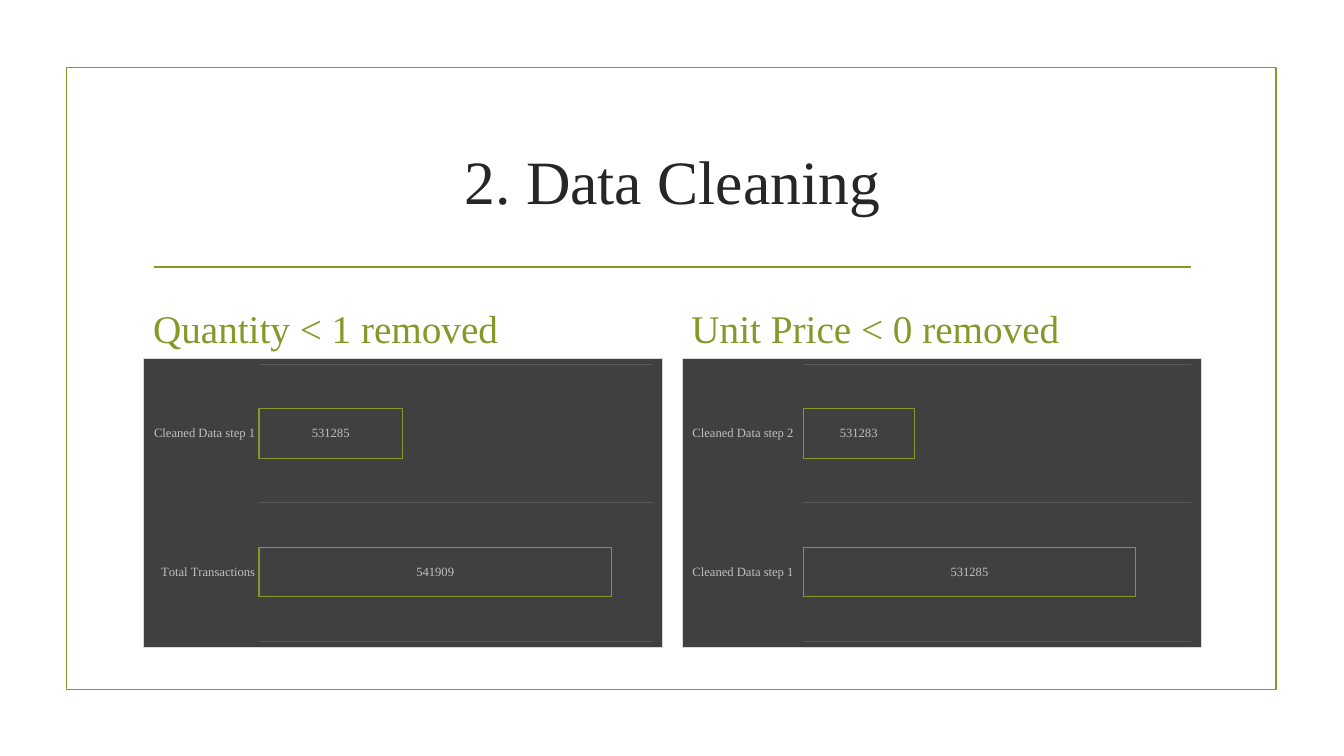
import pptx
import pptx.chart.data
import pptx.dml.color
import pptx.enum.chart
import pptx.enum.shapes
import pptx.enum.text
import pptx.oxml
import pptx.oxml.ns
import pptx.util
from pptx.util import Inches

COLORS = {"green": "83992A", "title": "262626", "panel": "404040",
          "grid": "595959", "label": "BFBFBF", "border": "D9D9D9", "black": "000000"}
FONT = "Times New Roman"
PANEL_XML = (
    '<c:spPr %s><a:solidFill><a:srgbClr val="%s"/></a:solidFill>'
    '<a:ln w="9525"><a:solidFill><a:srgbClr val="%s"/></a:solidFill></a:ln></c:spPr>'
    % (pptx.oxml.ns.nsdecls("c", "a"), COLORS["panel"], COLORS["border"])
)


class Deck:
    def __init__(self, slide):
        self.shapes = slide.shapes

    def rgb(self, name):
        return pptx.dml.color.RGBColor.from_string(COLORS[name])

    def style_font(self, font, size, color):
        font.name = FONT
        font.size = pptx.util.Pt(size)
        font.color.rgb = self.rgb(color)

    def style_line(self, line, color, width):
        line.color.rgb = self.rgb(color)
        line.width = pptx.util.Pt(width)

    def frame(self, x, y, w, h):
        sp = self.shapes.add_shape(pptx.enum.shapes.MSO_SHAPE.RECTANGLE,
                                   Inches(x), Inches(y), Inches(w), Inches(h))
        sp.shadow.inherit = False
        sp.fill.background()
        self.style_line(sp.line, "green", 1.25)

    def rule(self, x1, x2, y):
        line = self.shapes.add_connector(pptx.enum.shapes.MSO_CONNECTOR.STRAIGHT,
                                         Inches(x1), Inches(y), Inches(x2), Inches(y))
        self.style_line(line.line, "green", 1.25)
        line._element.spPr.append(
            pptx.oxml.parse_xml("<a:effectLst %s/>" % pptx.oxml.ns.nsdecls("a")))

    def text(self, x, y, w, h, words, size, color, align, anchor):
        tf = self.shapes.add_textbox(Inches(x), Inches(y), Inches(w), Inches(h)).text_frame
        tf.word_wrap = True
        tf.vertical_anchor = anchor
        p = tf.paragraphs[0]
        p.text = words
        p.alignment = align
        self.style_font(p.font, size, color)

    def bar_chart(self, x, y, w, h, values, low, high, tick):
        data = pptx.chart.data.CategoryChartData()
        data.categories = list(values)
        data.add_series("Series 1", list(values.values()))
        chart = self.shapes.add_chart(pptx.enum.chart.XL_CHART_TYPE.BAR_CLUSTERED,
                                      Inches(x), Inches(y), Inches(w), Inches(h), data).chart
        chart.has_legend = False
        chart.has_title = False
        self.style_font(chart.font, 10, "black")
        chart._chartSpace.find(pptx.oxml.ns.qn("c:chart")).addnext(
            pptx.oxml.parse_xml(PANEL_XML))

        axis = chart.category_axis
        axis.major_tick_mark = tick
        axis.format.line.fill.background()
        axis.has_major_gridlines = True
        self.style_line(axis.major_gridlines.format.line, "grid", 0.75)
        self.style_font(axis.tick_labels.font, 9, "label")

        scale = chart.value_axis
        scale.minimum_scale = low
        scale.maximum_scale = high
        scale.has_major_gridlines = False
        scale.visible = False

        plot = chart.plots[0]
        plot.vary_by_categories = False
        plot.gap_width = 182
        plot.overlap = -50
        series = plot.series[0]
        series.format.fill.background()
        self.style_line(series.format.line, "green", 0.75)
        labels = series.data_labels
        labels.show_value = True
        labels.position = pptx.enum.chart.XL_LABEL_POSITION.CENTER
        self.style_font(labels.font, 9, "label")


def main():
    prs = pptx.Presentation()
    prs.slide_width = Inches(13.33)
    prs.slide_height = Inches(7.5)
    s = Deck(prs.slides.add_slide(prs.slide_layouts[6]))
    align = pptx.enum.text.PP_ALIGN
    anchor = pptx.enum.text.MSO_ANCHOR
    tick = pptx.enum.chart.XL_TICK_MARK

    s.frame(0.66, 0.67, 12, 6.17)
    s.rule(1.53, 11.81, 2.65)
    s.text(1.42, 1.07, 10.5, 1.43, "2. Data Cleaning", 44, "title",
           align.CENTER, anchor.MIDDLE)

    steps = [
        (1.42, "Quantity < 1 removed",
         {"Total Transactions": 541909, "Cleaned Data step 1": 531285},
         524000, 544000, tick.NONE),
        (6.76, "Unit Price < 0 removed",
         {"Cleaned Data step 1": 531285, "Cleaned Data step 2": 531283},
         531282, 531285.5, tick.OUTSIDE),
    ]
    for x, heading, values, low, high, mark in steps:
        s.text(x, 2.91, 5.16, 0.63, heading, 28, "green", align.LEFT, anchor.BOTTOM)
        s.bar_chart(x, 3.55, 5.16, 2.88, values, low, high, mark)

    prs.save("out.pptx")


if __name__ == "__main__":
    main()
